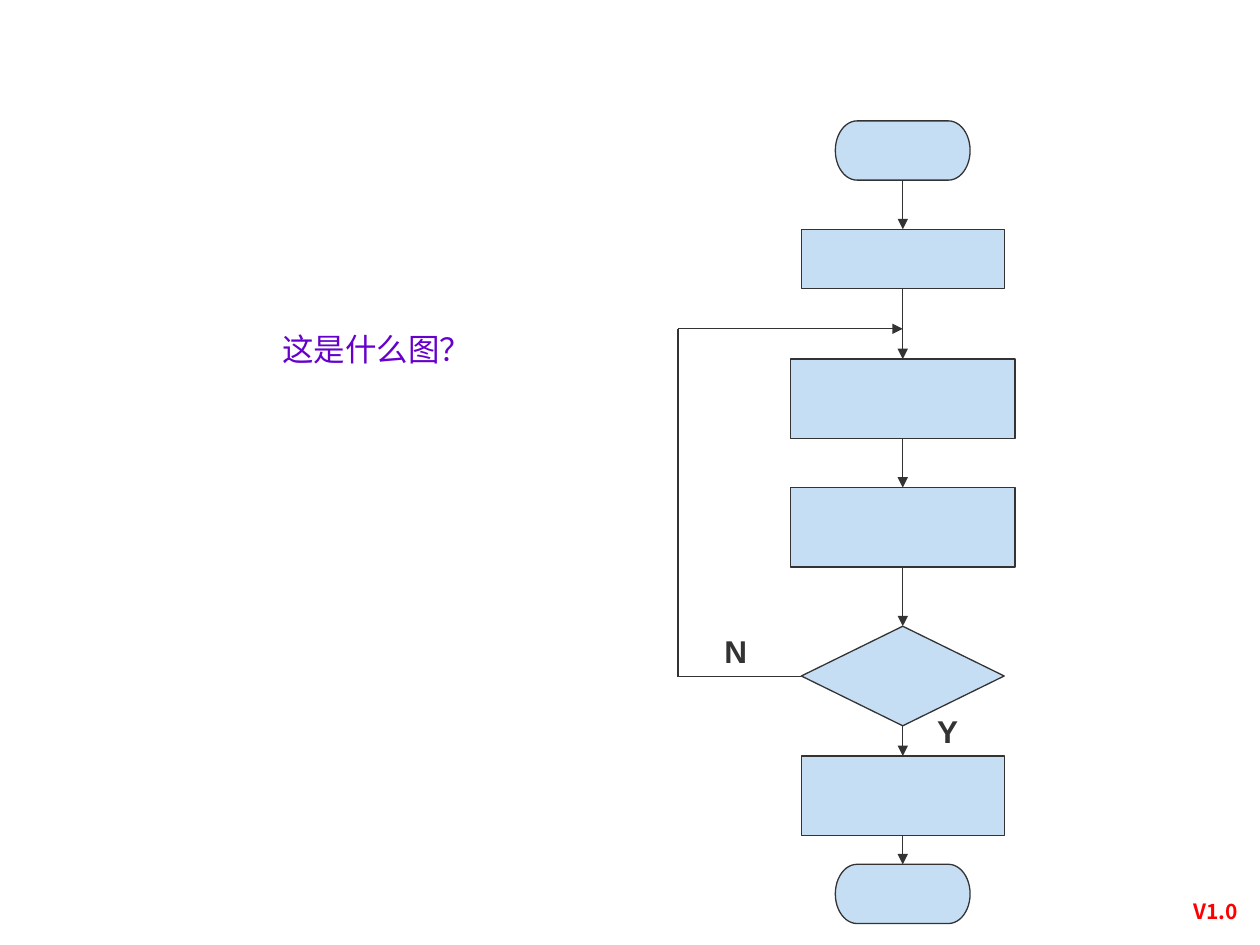
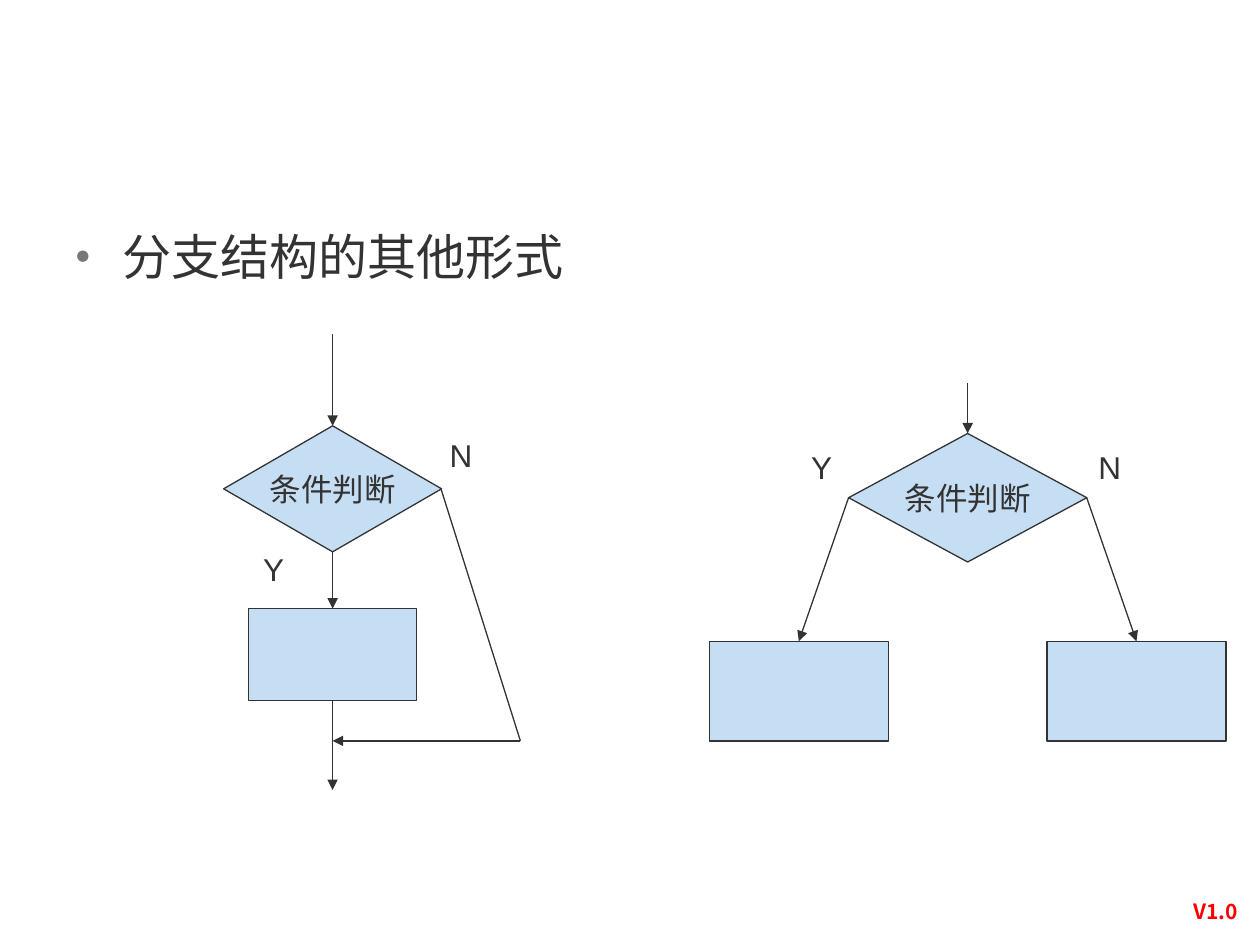
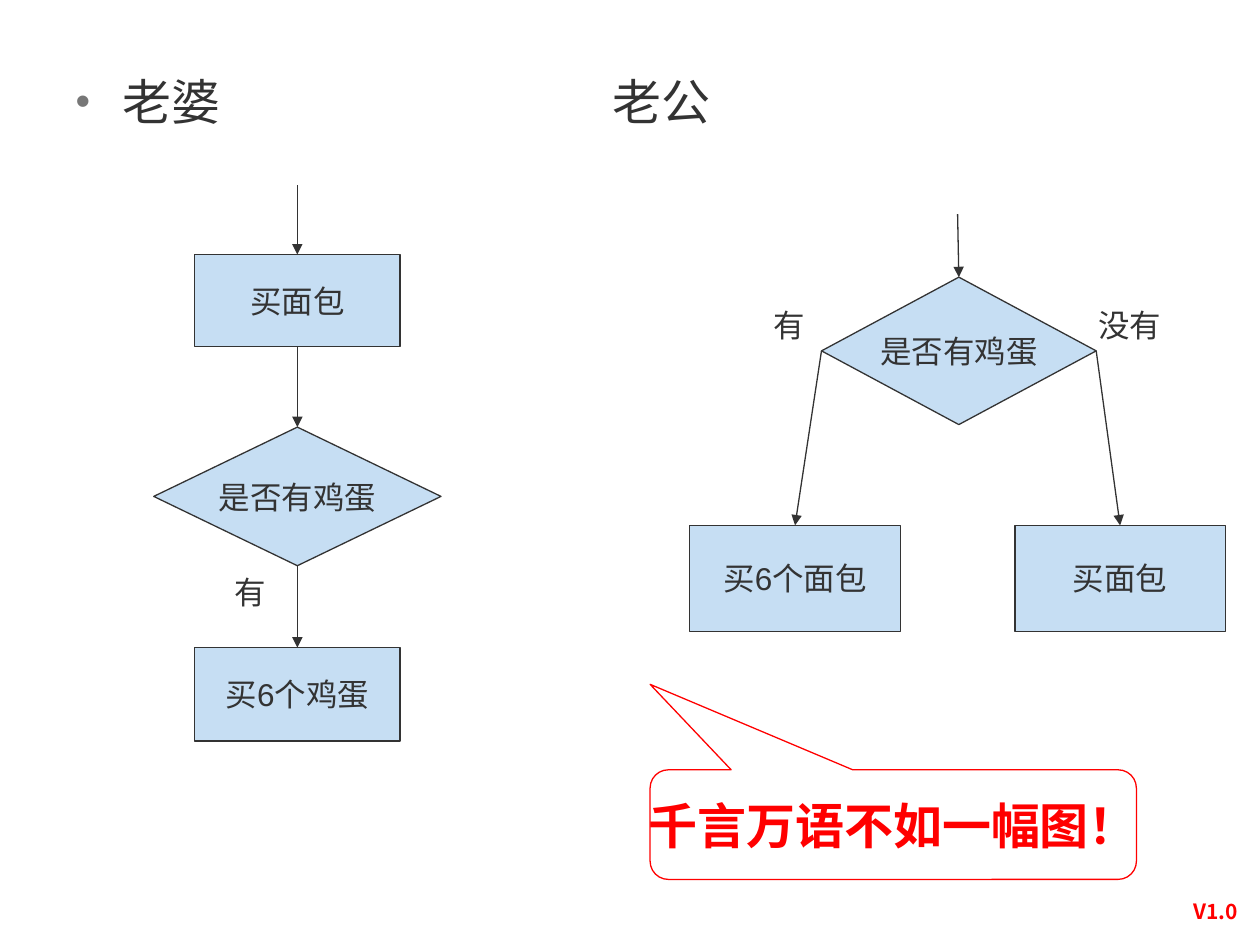
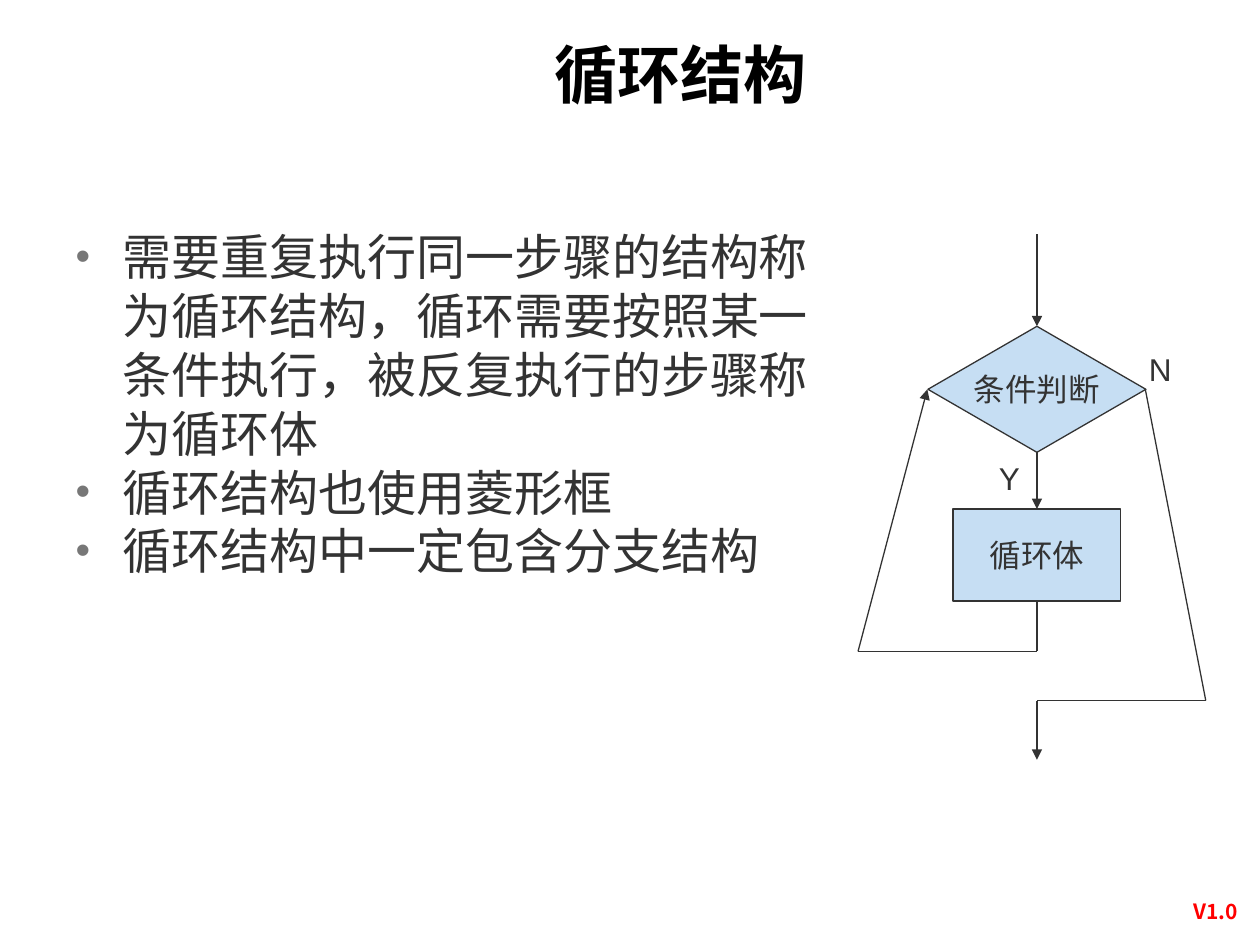
"""Build four slides on flowcharts: a full chart, branches, an example and loops."""
from itertools import pairwise

from lxml import etree
from pptx import Presentation
from pptx.dml.color import RGBColor
from pptx.enum import shapes, text
from pptx.oxml import ns
from pptx.util import Inches, Pt

INK = RGBColor(0x33, 0x33, 0x33)
BLACK = RGBColor(0, 0, 0)
WHITE = RGBColor(255, 255, 255)
BOX_FILL = RGBColor(0xC6, 0xDE, 0xF3)
RED = RGBColor(255, 0, 0)
PURPLE = RGBColor(0x66, 0, 0xCC)
LATIN = "Arial"
CJK = "Noto Sans CJK SC"
PROCESS = shapes.MSO_SHAPE.FLOWCHART_PROCESS
DECISION = shapes.MSO_SHAPE.FLOWCHART_DECISION
TERMINATOR = shapes.MSO_SHAPE.FLOWCHART_TERMINATOR
TOP, LEFT, BOTTOM, RIGHT = range(4)
BLANK_LAYOUT, CONTENT_LAYOUT = 6, 1
BULLET_INDENT = Inches(3 / 8)


def add_xml(parent, tag, **attributes):
    return etree.SubElement(parent, ns.qn(tag), attributes)


class Deck:
    def __init__(self):
        self.presentation = Presentation()
        self.presentation.slide_width = Inches(10)
        self.presentation.slide_height = Inches(7.5)
        self.slide = None

    def new_slide(self, layout):
        layouts = self.presentation.slide_layouts
        self.slide = self.presentation.slides.add_slide(layouts[layout])

    def style(self, paragraph, size, color=INK, bold=False, name=LATIN):
        font = paragraph.font
        font.size, font.bold, font.name = Pt(size), bold, name
        font.color.rgb = color

    def place(self, shape, left, top, width, height):
        shape.left, shape.top = Inches(left), Inches(top)
        shape.width, shape.height = Inches(width), Inches(height)

    def title(self, words, *box):
        shape = self.slide.shapes.title
        self.place(shape, *box)
        frame = shape.text_frame
        frame.text = words
        frame.vertical_anchor = text.MSO_ANCHOR.MIDDLE
        paragraph = frame.paragraphs[0]
        paragraph.alignment = text.PP_ALIGN.LEFT
        self.style(paragraph, 36, BLACK, bold=True)

    def drop_title(self):
        element = self.slide.shapes.title.element
        element.getparent().remove(element)

    def bullets(self, lines, *box, tab=None):
        shape = self.slide.placeholders[1]
        self.place(shape, *box)
        frame = shape.text_frame
        frame.text = "\n".join(lines)
        for paragraph in frame.paragraphs:
            properties = paragraph._p.get_or_add_pPr()
            properties.set("marL", str(BULLET_INDENT))
            properties.set("indent", str(-BULLET_INDENT))
            add_xml(add_xml(properties, "a:buClr"), "a:srgbClr", val="777777")
            add_xml(properties, "a:buSzPct", val="85000")
            add_xml(properties, "a:buChar", char="•")
            if tab:
                stops = add_xml(properties, "a:tabLst")
                add_xml(stops, "a:tab", pos=str(Inches(tab)), algn="l")
            paragraph.space_before = Pt(0)
            self.style(paragraph, 28)

    def label(self, words, left, top, width=0.6, height=0.4, size=18,
              wrap=True, align=text.PP_ALIGN.LEFT, **look):
        shape = self.slide.shapes.add_textbox(
            Inches(left), Inches(top), Inches(width), Inches(height))
        frame = shape.text_frame
        frame.text = words
        frame.word_wrap = wrap
        paragraph = frame.paragraphs[0]
        paragraph.alignment = align
        self.style(paragraph, size, **look)
        return shape

    def master_label(self, *arguments, **look):
        shape = self.label(*arguments, **look)
        self.presentation.slide_master.element.cSld.spTree.append(shape.element)

    def node(self, kind, center, top, width, height, words="",
             fill=BOX_FILL, line=INK, size=18, **look):
        shape = self.slide.shapes.add_shape(
            kind, Inches(center - width / 2), Inches(top),
            Inches(width), Inches(height))
        shape.shadow.inherit = False
        shape.fill.solid()
        shape.fill.fore_color.rgb = fill
        shape.line.color.rgb = line
        shape.line.width = Pt(0.75)
        if words:
            frame = shape.text_frame
            frame.text = words
            frame.word_wrap = False
            frame.vertical_anchor = text.MSO_ANCHOR.MIDDLE
            paragraph = frame.paragraphs[0]
            paragraph.alignment = text.PP_ALIGN.CENTER
            self.style(paragraph, size, **look)
        return shape

    def segment(self, start, end, arrow):
        connector = self.slide.shapes.add_connector(
            shapes.MSO_CONNECTOR.STRAIGHT, *map(Inches, (*start, *end)))
        connector.line.color.rgb = INK
        connector.line.width = Pt(0.75)
        if arrow:
            add_xml(connector.line._get_or_add_ln(), "a:tailEnd", type="triangle")
        add_xml(connector.element.spPr, "a:effectLst")
        return connector

    def link(self, source, target, site=BOTTOM):
        connector = self.segment((0, 0), (1, 1), arrow=True)
        connector.begin_connect(source, site)
        connector.end_connect(target, TOP)

    def path_line(self, *points, arrow=True):
        for start, end in pairwise(points):
            self.segment(start, end, arrow and end == points[-1])


def full_chart(deck):
    deck.new_slide(BLANK_LAYOUT)
    deck.master_label("V1.0", 9.25, 7.08, 0.8, 0.3, size=12, color=RED,
                      bold=True, name=CJK, align=text.PP_ALIGN.CENTER)
    center = 7.165
    steps = [
        (TERMINATOR, 0.96, 1.07, 0.47),
        (PROCESS, 1.82, 1.61, 0.47),
        (PROCESS, 2.85, 1.78, 0.63),
        (PROCESS, 3.87, 1.78, 0.63),
        (DECISION, 4.97, 1.61, 0.79),
        (PROCESS, 6, 1.61, 0.63),
        (TERMINATOR, 6.86, 1.07, 0.47),
    ]
    nodes = [deck.node(kind, center, *box) for kind, *box in steps]
    for upper, lower in pairwise(nodes):
        deck.link(upper, lower)
    deck.path_line((6.36, 5.37), (5.38, 5.37), (5.38, 2.61), (center, 2.61))
    deck.label("Y", 7.34, 5.6, bold=True)
    deck.label("N", 5.65, 4.97, bold=True)
    deck.label("这是什么图？", 1.22, 2.57, 3.54, 2.21, wrap=False,
               align=text.PP_ALIGN.CENTER, color=PURPLE, name=CJK)


def branch_forms(deck):
    deck.new_slide(CONTENT_LAYOUT)
    deck.drop_title()
    deck.bullets(["分支结构的其他形式"], 0.5, 1.75, 4.58, 0.82)

    center = 2.64
    decision = deck.node(DECISION, center, 3.38, 1.73, 1, "条件判断")
    step = deck.node(PROCESS, center, 4.83, 1.33, 0.73)
    deck.path_line((center, 2.65), (center, 3.38))
    deck.link(decision, step)
    deck.path_line((center, 5.56), (center, 6.27))
    deck.path_line((3.5, 3.88), (4.13, 5.88), (center, 5.88))
    deck.label("Y", 1.99, 4.32)
    deck.label("N", 3.47, 3.41)

    center = 7.68
    decision = deck.node(DECISION, center, 3.44, 1.89, 1.02, "条件判断")
    deck.path_line((center, 3.04), (center, 3.44))
    for site, branch in ((LEFT, 6.34), (RIGHT, 9.02)):
        deck.link(decision, deck.node(PROCESS, branch, 5.09, 1.42, 0.79), site)
    deck.label("Y", 6.34, 3.51)
    deck.label("N", 8.62, 3.51)


def shopping_example(deck):
    deck.new_slide(CONTENT_LAYOUT)
    deck.drop_title()
    deck.bullets(["老婆\t老公"], 0.5, 0.52, 9.07, 0.79, tab=4.26)

    center = 2.36
    deck.path_line((center, 1.47), (center, 2.02))
    nodes = [
        deck.node(PROCESS, center, 2.02, 1.63, 0.73, "买面包"),
        deck.node(DECISION, center, 3.39, 2.28, 1.1, "是否有鸡蛋"),
        deck.node(PROCESS, center, 5.14, 1.63, 0.74, "买6个鸡蛋"),
    ]
    for upper, lower in pairwise(nodes):
        deck.link(upper, lower)
    deck.label("有", 1.76, 4.5)

    center = 7.61
    decision = deck.node(DECISION, center, 2.2, 2.18, 1.17, "是否有鸡蛋")
    deck.path_line((7.6, 1.7), (center, 2.2))
    branches = ((LEFT, 6.31, "买6个面包"), (RIGHT, 8.89, "买面包"))
    for site, branch, words in branches:
        step = deck.node(PROCESS, branch, 4.17, 1.67, 0.84, words)
        deck.link(decision, step, site)
    deck.label("有", 6.04, 2.38, 0.77)
    deck.label("没有", 8.62, 2.38, 0.77)

    callout = deck.node(shapes.MSO_SHAPE.ROUNDED_RECTANGULAR_CALLOUT,
                        7.09, 6.11, 3.86, 0.87, "千言万语不如一幅图！",
                        fill=WHITE, line=RED, size=28, color=RED, bold=True)
    callout.adjustments[0] = -0.5
    callout.adjustments[1] = -1.28


def loop_structure(deck):
    deck.new_slide(CONTENT_LAYOUT)
    deck.title("循环结构", 4.3, 0.3, 5.13, 0.56)
    deck.bullets([
        "需要重复执行同一步骤的结构称为循环结构，循环需要按照某一条件执行，被反复执行的步骤称为循环体",
        "循环结构也使用菱形框",
        "循环结构中一定包含分支结构",
    ], 0.5, 1.75, 6.07, 4.95)

    center = 8.23
    decision = deck.node(DECISION, center, 2.59, 1.73, 1, "条件判断")
    body = deck.node(PROCESS, center, 4.04, 1.33, 0.73, "循环体")
    deck.path_line((center, 1.86), (center, 2.59))
    deck.link(decision, body)
    deck.path_line((center, 4.77), (center, 5.17), (6.81, 5.17), (7.36, 3.09))
    deck.path_line((9.09, 3.09), (9.57, 5.56), (center, 5.56), (center, 6.03))
    deck.label("Y", 7.83, 3.59)
    deck.label("N", 9.02, 2.73)


def main():
    deck = Deck()
    for build in (full_chart, branch_forms, shopping_example, loop_structure):
        build(deck)
    deck.presentation.save("out.pptx")


if __name__ == "__main__":
    main()
